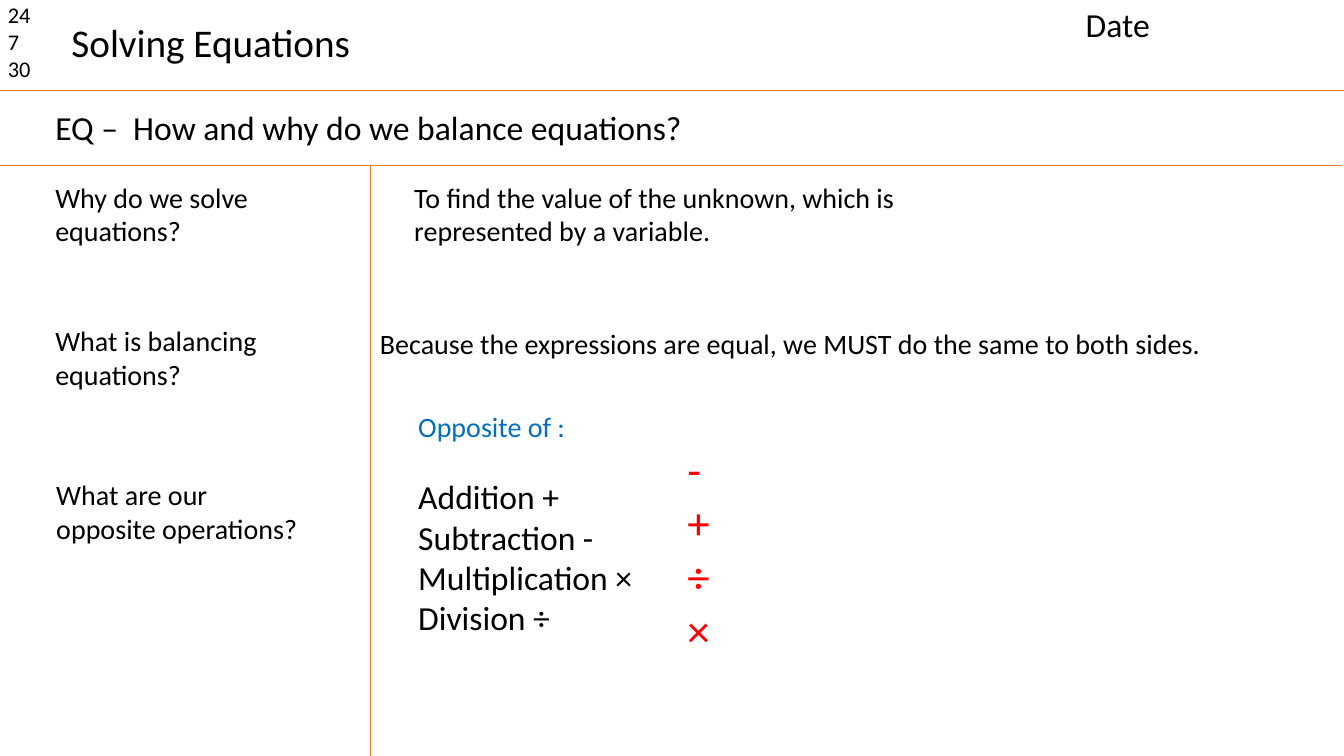
from dataclasses import dataclass

from pptx import Presentation
from pptx.dml.color import RGBColor
from pptx.enum import shapes, text
from pptx.oxml.ns import qn
from pptx.slide import Slide
from pptx.util import Inches, Pt


@dataclass(frozen=True)
class Theme:
    font: str = "Calibri"
    ink: str = "000000"
    heading: str = "0070C0"
    answer: str = "FF0000"
    rule: str = "ED7D31"
    rule_width: float = 0.5
    corner: int = 16
    body: int = 20
    large: int = 24
    title: int = 28
    symbol: int = 32


THEME = Theme()


@dataclass(frozen=True)
class Line:
    wording: str
    size: int = THEME.body
    color: str = THEME.ink
    gap: int = 0


@dataclass(frozen=True)
class Note:
    left: float
    top: float
    width: float
    height: float
    lines: list[Line]
    wrap: bool = True


@dataclass(frozen=True)
class Rule:
    x1: float
    y1: float
    x2: float
    y2: float


WIDTH, HEIGHT = 13.33, 7.5
HEADER_Y, QUESTION_Y, MARGIN_X = 0.9, 1.64, 3.67
CUE_X = 0.45

RULES = [
    Rule(0, HEADER_Y, WIDTH, HEADER_Y),
    Rule(0, QUESTION_Y, 13.31, QUESTION_Y),
    Rule(MARGIN_X, QUESTION_Y, MARGIN_X, HEIGHT),
]

OPERATIONS = ["Subtraction -", "Multiplication ×", "Division ÷"]

NOTES = [
    Note(-0.02, -0.04, 0.63, 0.91,
         [Line(number, THEME.corner) for number in ("24", "7", "30")]),
    Note(0.61, 0.13, 3, 0.57, [Line("Solving Equations", THEME.title)], wrap=False),
    Note(10.67, -0.01, 1.73, 0.5, [Line("Date", THEME.large)]),
    Note(CUE_X, 1.01, 9.43, 0.5,
         [Line("EQ –  How and why do we balance equations?", THEME.large)]),
    Note(CUE_X, 1.74, 2.3, 0.77, [Line("Why do we solve equations?")]),
    Note(4.01, 1.74, 6.32, 0.77,
         [Line("To find the value of the unknown, which is represented by a variable.")]),
    Note(CUE_X, 3.16, 2.43, 0.77, [Line("What is balancing equations?")]),
    Note(MARGIN_X, 3.19, 8.51, 0.44,
         [Line("Because the expressions are equal, we MUST do the same to both sides.")]),
    Note(0.46, 4.69, 2.73, 0.77, [Line("What are our opposite operations?")]),
    Note(4.05, 4.01, 2.66, 2.69,
         [Line("Opposite of :", color=THEME.heading),
          Line("Addition +", THEME.large, gap=24),
          *(Line(operation, THEME.large) for operation in OPERATIONS)]),
    Note(6.72, 4.33, 2.88, 2.26,
         [Line(sign, THEME.symbol, THEME.answer) for sign in "-+÷×"]),
]


def draw_rule(slide: Slide, rule: Rule) -> None:
    connector = slide.shapes.add_connector(
        shapes.MSO_CONNECTOR.STRAIGHT,
        Inches(rule.x1), Inches(rule.y1), Inches(rule.x2), Inches(rule.y2))
    connector.line.color.rgb = RGBColor.from_string(THEME.rule)
    connector.line.width = Pt(THEME.rule_width)
    properties = connector._element.spPr
    properties.append(properties.makeelement(qn("a:effectLst"), {}))


def draw_note(slide: Slide, note: Note) -> None:
    frame = slide.shapes.add_textbox(
        Inches(note.left), Inches(note.top),
        Inches(note.width), Inches(note.height)).text_frame
    frame.word_wrap = note.wrap
    frame.auto_size = text.MSO_AUTO_SIZE.SHAPE_TO_FIT_TEXT
    for index, line in enumerate(note.lines):
        paragraph = frame.add_paragraph() if index else frame.paragraphs[0]
        paragraph.text = line.wording
        if line.gap:
            paragraph.space_before = Pt(line.gap)
        paragraph.font.name = THEME.font
        paragraph.font.size = Pt(line.size)
        paragraph.font.color.rgb = RGBColor.from_string(line.color)


def main() -> None:
    deck = Presentation()
    deck.slide_width, deck.slide_height = Inches(WIDTH), Inches(HEIGHT)
    slide = deck.slides.add_slide(deck.slide_layouts[6])
    for rule in RULES:
        draw_rule(slide, rule)
    for note in NOTES:
        draw_note(slide, note)
    deck.save("out.pptx")


if __name__ == "__main__":
    main()
